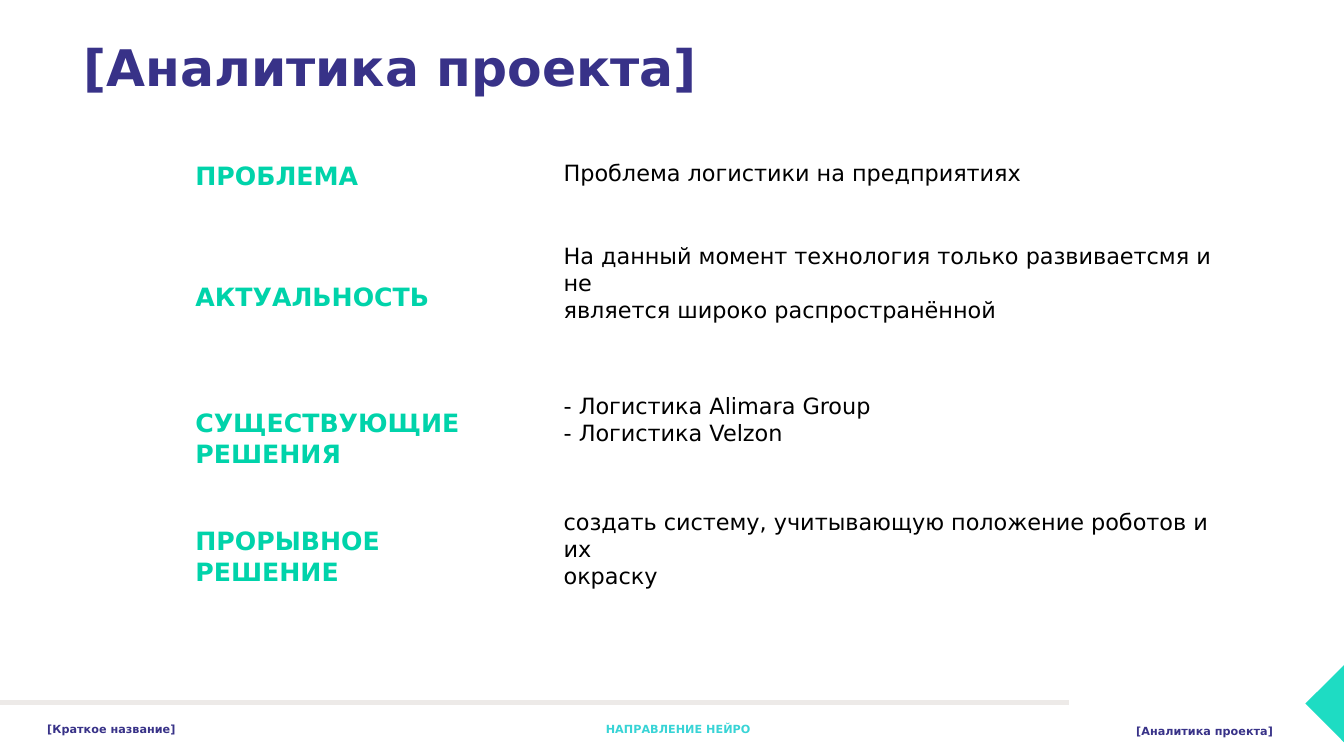
from dataclasses import dataclass

import lxml.etree
import pptx
import pptx.dml.color
import pptx.enum.shapes
import pptx.enum.text
import pptx.oxml.ns
import pptx.util

FONT = "DejaVu Sans"
INDIGO, GREEN, CYAN, TEAL = "383288", "00D3AA", "38D4D6", "1EDCC3"
BLACK, RULE_GRAY = "000000", "EDEAE8"
LABEL_LEFT, BODY_LEFT, BODY_WIDTH = 13.8, 41.2, 51
MIDDLE = pptx.enum.text.MSO_ANCHOR.MIDDLE
TOP = pptx.enum.text.MSO_ANCHOR.TOP

presentation = pptx.Presentation()
presentation.slide_width = pptx.util.Inches(13.33)
presentation.slide_height = pptx.util.Inches(7.5)
slide = presentation.slides.add_slide(presentation.slide_layouts[6])


@dataclass(frozen=True)
class Area:
    """A place on the slide, in percent of its width and height."""
    left: float
    top: float
    width: float
    height: float


@dataclass(frozen=True)
class Topic:
    label: str
    label_top: float
    label_width: float
    body: str
    body_top: float


@dataclass(frozen=True)
class FooterItem:
    text: str
    left: float
    top: float
    width: float
    color: str


TOPICS = [
    Topic("ПРОБЛЕМА", 20.53, 13.73,
          "Проблема логистики на предприятиях", 20.4),
    Topic("АКТУАЛЬНОСТЬ", 36.53, 18.9,
          "На данный момент технология только развиваетсмя и не\n"
          "является широко распространённой", 33.07),
    Topic("СУЩЕСТВУЮЩИЕ\nРЕШЕНИЯ", 53.2, 21.3,
          "- Логистика Alimara Group\n- Логистика Velzon", 51.2),
    Topic("ПРОРЫВНОЕ\nРЕШЕНИЕ", 68.8, 15.45,
          "создать систему, учитывающую положение роботов и их\nокраску", 68.27),
]

FOOTER = [
    FooterItem("[Краткое название]", 2.78, 94.93, 14.85, INDIGO),
    FooterItem("НАПРАВЛЕНИЕ НЕЙРО", 44.34, 94.93, 12.83, CYAN),
    FooterItem("[Аналитика проекта]", 83.8, 95.2, 12, INDIGO),
]


def x(percent: float) -> int:
    return round(presentation.slide_width * percent / 100)


def y(percent: float) -> int:
    return round(presentation.slide_height * percent / 100)


def place(area: Area) -> tuple[int, int, int, int]:
    return x(area.left), y(area.top), x(area.width), y(area.height)


def rgb(color: str) -> pptx.dml.color.RGBColor:
    return pptx.dml.color.RGBColor.from_string(color)


def add_text(text: str, area: Area, *, size: float, color: str,
             bold: bool = False, wrap: bool = True,
             anchor: pptx.enum.text.MSO_ANCHOR = TOP) -> None:
    """Add a text box with one paragraph for each line of the text."""
    frame = slide.shapes.add_textbox(*place(area)).text_frame
    frame.word_wrap = wrap
    frame.vertical_anchor = anchor
    frame.text = text
    for paragraph in frame.paragraphs:
        font = paragraph.runs[0].font
        font.name = FONT
        font.size = pptx.util.Pt(size)
        font.bold = bold
        font.color.rgb = rgb(color)


def add_topic(topic: Topic) -> None:
    label_height = 1.2 + 4.13 * len(topic.label.splitlines())
    body_height = 1.33 + 3.6 * len(topic.body.splitlines())
    add_text(topic.label,
             Area(LABEL_LEFT, topic.label_top, topic.label_width, label_height),
             size=18, color=GREEN, bold=True, wrap=False, anchor=MIDDLE)
    add_text(topic.body,
             Area(BODY_LEFT, topic.body_top, BODY_WIDTH, body_height),
             size=16, color=BLACK, anchor=MIDDLE)


def add_corner(area: Area) -> None:
    corner = slide.shapes.add_shape(
        pptx.enum.shapes.MSO_SHAPE.RIGHT_TRIANGLE, *place(area))
    corner.rotation = 45.2
    corner.shadow.inherit = False
    corner.fill.solid()
    corner.fill.fore_color.rgb = rgb(TEAL)
    corner.line.fill.background()


def add_footer_rule(right: float, top: float) -> None:
    rule = slide.shapes.add_connector(
        pptx.enum.shapes.MSO_CONNECTOR.STRAIGHT, 0, y(top), x(right), y(top))
    rule.line.color.rgb = rgb(RULE_GRAY)
    rule.line.width = pptx.util.Pt(3)
    properties = rule._element.spPr
    lxml.etree.SubElement(properties, pptx.oxml.ns.qn("a:effectLst"))


def main() -> None:
    add_text("[Аналитика проекта]", Area(5.48, 4.13, 88.37, 9.47),
             size=36, color=INDIGO, bold=True)
    add_corner(Area(97.97, 89.47, 4.05, 7.2))
    add_footer_rule(79.52, 92.93)
    for item in FOOTER:
        add_text(item.text, Area(item.left, item.top, item.width, 3.2),
                 size=8, color=item.color, bold=True)
    for topic in TOPICS:
        add_topic(topic)
    presentation.save("out.pptx")


if __name__ == "__main__":
    main()
